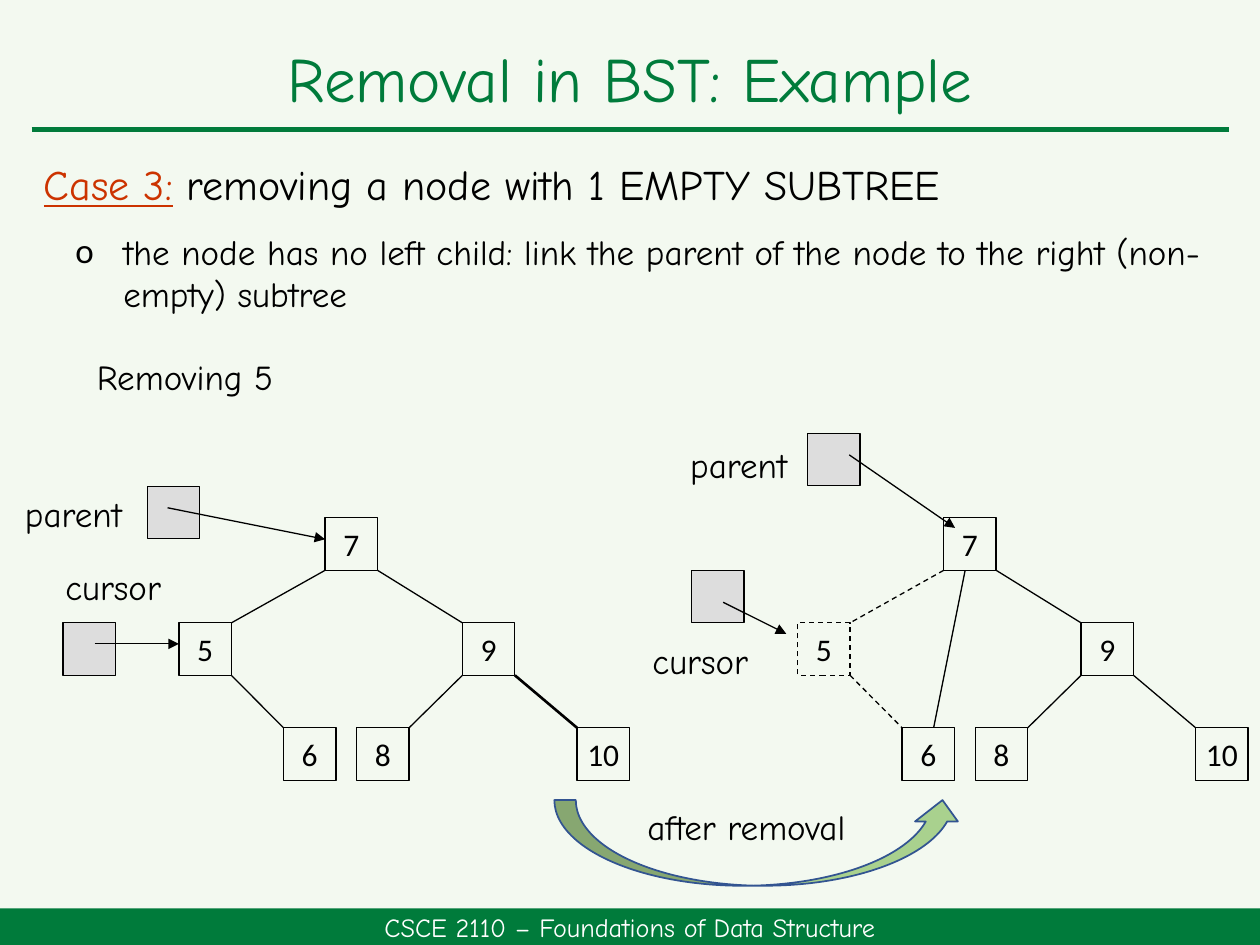
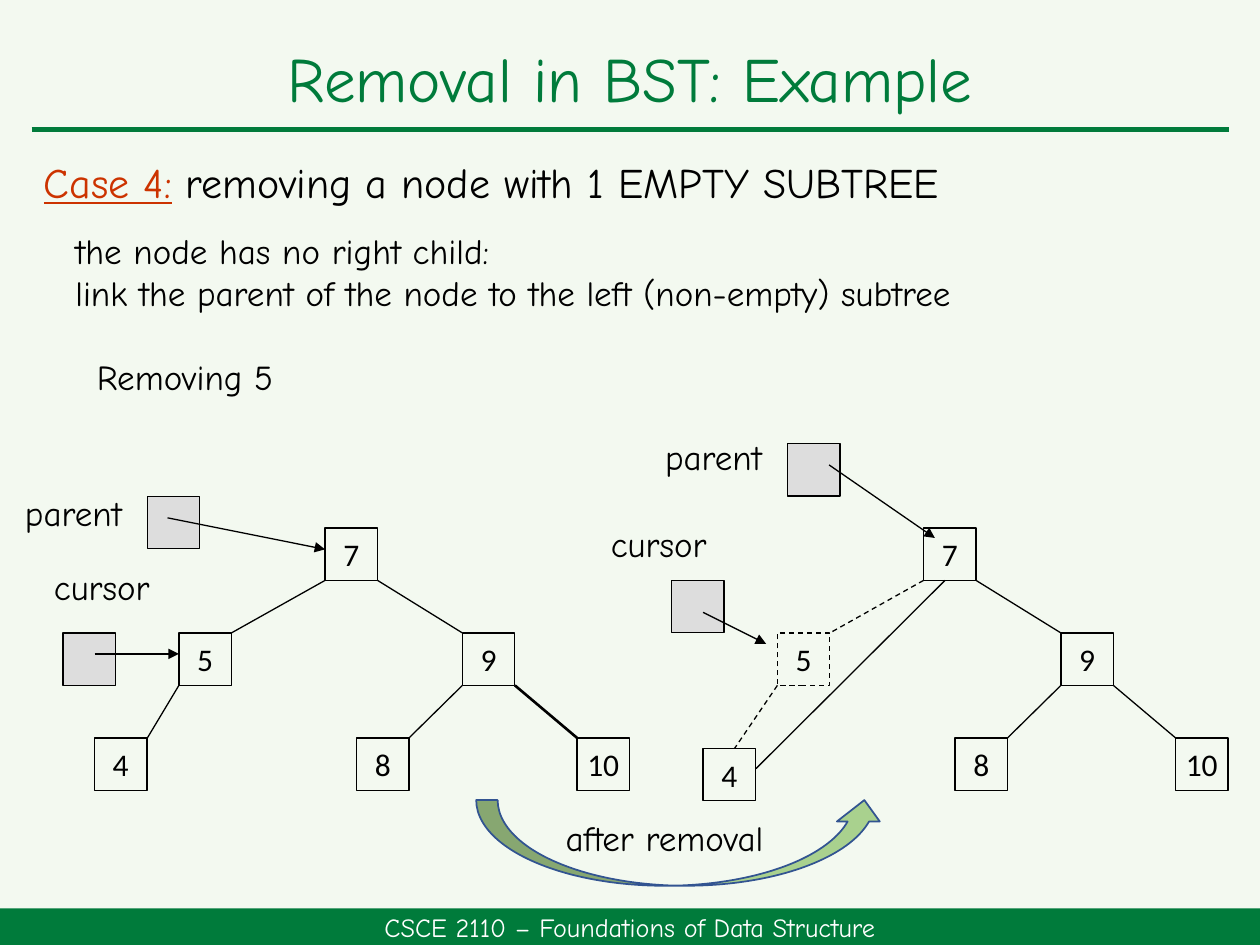
from dataclasses import dataclass
from typing import NamedTuple

from lxml import etree
from pptx import Presentation
from pptx import util as u
from pptx.dml.color import RGBColor
from pptx.enum import dml, shapes, text
from pptx.oxml.ns import qn

# Shared look
GREEN = RGBColor(0x00, 0x7B, 0x3B)
PALE = RGBColor(0xF3, 0xF9, 0xF0)
WHITE = RGBColor(0xFF, 0xFF, 0xFF)
BLACK = RGBColor(0x00, 0x00, 0x00)
RED = RGBColor(0xCC, 0x33, 0x00)
GREY = RGBColor(0xDD, 0xDD, 0xDD)
LEAF_GREEN = RGBColor(0xA9, 0xD1, 0x8E)
BLUE = RGBColor(0x32, 0x54, 0x91)
HAND, PLAIN = "Comic Neue", "Calibri"
CENTER = text.PP_ALIGN.CENTER
RECT = shapes.MSO_SHAPE.RECTANGLE

# Tree grid: square nodes, one node height between levels
BOX = 5 / 12
STEP = 2 * BOX


class Point(NamedTuple):
    x: float
    y: float


class Area(NamedTuple):
    x: float
    y: float
    w: float
    h: float


class Run(NamedTuple):
    words: str
    size: float = 20
    color: RGBColor = BLACK
    font: str = HAND
    underline: bool = False


class Node(NamedTuple):
    label: str
    x: float
    y: float


class Pointer(NamedTuple):
    box: Point
    start: Point
    end: Point


class Label(NamedTuple):
    words: str
    x: float
    y: float


@dataclass
class Tree:
    origin: Point
    leaf: Node
    leaf_join: Point
    pointers: list[Pointer]
    removed: bool = False
    right_weight: float = 0.75


@dataclass
class Case:
    title: str
    title_area: Area
    rule: list[str]
    rule_area: Area
    bulleted: bool
    labels: list[Label]
    trees: list[Tree]
    relink_end: Point
    arrow_x: float
    caption: Area


ROOT = Node("7", 2.58, 0)
TARGET = Node("5", 1.42, STEP)
RIGHT = Node("9", 3.67, STEP)
EIGHT = Node("8", 2.83, 2 * STEP)
TEN = Node("10", 4.58, 2 * STEP)
RELINK_START = Point(2.75, BOX)

# Pointer boxes relative to the tree origin
BEFORE = [
    Pointer(Point(1.17, -0.25), Point(1.33, -0.08), Point(2.58, 0.17)),
    Pointer(Point(0.5, STEP), Point(0.75, 1), Point(1.42, 1)),
]
AFTER = [
    Pointer(Point(1.5, -0.67), Point(1.83, -0.5), Point(2.67, 0.08)),
    Pointer(Point(0.58, BOX), Point(0.83, 0.67), Point(1.33, 0.92)),
]

SIX = Node("6", 2.25, 2 * STEP)
FOUR = Node("4", 0.75, 2 * STEP)
FOUR_AFTER = Node("4", 0.83, 1.75)

CASES = [
    Case(
        "Case 3:", Area(0.25, 1.21, 9.08, 0.5),
        ["the node has no left child: link the parent of the node "
         "to the right (non-empty) subtree"],
        Area(0.5, 1.78, 9.25, 0.77), True,
        [Label("parent", 0.1, 3.86), Label("cursor", 0.42, 4.44),
         Label("parent", 5.38, 3.47), Label("cursor", 5.08, 5.03)],
        [Tree(Point(0, 4.11), SIX, Point(2.25, 2 * STEP), BEFORE, right_weight=1.5),
         Tree(Point(4.91, 4.11), SIX, Point(2.25, 2 * STEP), AFTER, removed=True)],
        Point(2.5, 2 * STEP), 4.4, Area(5.04, 6.34, 2.16, 0.44),
    ),
    Case(
        "Case 4:", Area(0.25, 1.19, 8.11, 0.5),
        ["the node has no right child:",
         "link the parent of the node to the left (non-empty) subtree"],
        Area(0.5, 1.77, 7.98, 0.77), False,
        [Label("parent", 0.1, 3.85), Label("cursor", 0.33, 4.44),
         Label("parent", 5.18, 3.41), Label("cursor", 4.75, 4.1)],
        [Tree(Point(0, 4.19), FOUR, Point(1.17, 2 * STEP), BEFORE, right_weight=1.5),
         Tree(Point(4.75, 4.19), FOUR_AFTER, Point(1.08, 1.75), AFTER, removed=True)],
        Point(1.25, 1.91), 3.78, Area(4.39, 6.43, 2.04, 0.44),
    ),
]


def inches(*values: float) -> list[u.Length]:
    return [u.Inches(v) for v in values]


def set_all(target, formats: dict) -> None:
    for name, value in formats.items():
        setattr(target, name, value)


def write(tf, paragraphs: list[list[Run]], align=None) -> None:
    for i, runs in enumerate(paragraphs):
        p = tf.add_paragraph() if i else tf.paragraphs[0]
        p.alignment = align
        for run in runs:
            r = p.add_run()
            r.text = run.words
            set_all(r.font, {"name": run.font, "size": u.Pt(run.size),
                             "underline": run.underline})
            r.font.color.rgb = run.color


def add_text(s, area: Area, paragraphs: list[list[Run]], align=None,
             anchor=text.MSO_ANCHOR.TOP):
    tf = s.shapes.add_textbox(*inches(*area)).text_frame
    set_all(tf, {"word_wrap": True, "vertical_anchor": anchor})
    write(tf, paragraphs, align)
    return tf


def add_shape(s, kind, area: Area, fill=None, line=None, weight=0.75, dashed=False):
    sp = s.shapes.add_shape(kind, *inches(*area))
    sp.shadow.inherit = False
    if fill is None:
        sp.fill.background()
    else:
        sp.fill.solid()
        sp.fill.fore_color.rgb = fill
    if line is None:
        sp.line.fill.background()
    else:
        sp.line.color.rgb = line
        sp.line.width = u.Pt(weight)
        if dashed:
            sp.line.dash_style = dml.MSO_LINE.DASH
    return sp


def add_line(s, start: Point, end: Point, color=BLACK, weight=0.75,
             dashed=False, arrow=False) -> None:
    cxn = s.shapes.add_connector(shapes.MSO_CONNECTOR.STRAIGHT, *inches(*start, *end))
    cxn.line.color.rgb = color
    cxn.line.width = u.Pt(weight)
    if dashed:
        cxn.line.dash_style = dml.MSO_LINE.DASH
    if arrow:
        etree.SubElement(cxn.line._get_or_add_ln(), qn("a:tailEnd"), type="triangle")
    etree.SubElement(cxn._element.spPr, qn("a:effectLst"))


def add_bullet(p, char: str, indent: float) -> None:
    pPr = p._p.get_or_add_pPr()
    pPr.set("marL", str(u.Inches(indent)))
    pPr.set("indent", str(-u.Inches(indent)))
    etree.SubElement(pPr, qn("a:buFont"), typeface=PLAIN)
    etree.SubElement(pPr, qn("a:buChar"), char=char)


def add_frame(s) -> None:
    """Footer band, title and title rule."""
    band = add_shape(s, RECT, Area(0, 7.21, 10, 0.29), GREEN)
    band.text_frame.vertical_anchor = text.MSO_ANCHOR.MIDDLE
    write(band.text_frame,
          [[Run("CSCE 2110 – Foundations of Data Structure", 15, WHITE)]], CENTER)
    add_text(s, Area(0, 0.19, 10, 0.84), [[Run("Removal in BST: Example", 36, GREEN)]],
             CENTER, text.MSO_ANCHOR.MIDDLE)
    add_line(s, Point(0.25, 1.03), Point(9.75, 1.03), GREEN, 3)


def add_tree(s, tree: Tree) -> None:
    def at(x: float, y: float) -> Point:
        return Point(tree.origin.x + x, tree.origin.y + y)

    def add_edge(parent: Node, end: Point, **style) -> None:
        side = BOX if end.x > parent.x else 0
        add_line(s, at(parent.x + side, parent.y + BOX), at(*end), **style)

    # Edges run from a bottom corner to the facing top corner
    add_edge(ROOT, Point(TARGET.x + BOX, TARGET.y), dashed=tree.removed)
    add_edge(ROOT, Point(RIGHT.x, RIGHT.y))
    add_edge(RIGHT, Point(EIGHT.x + BOX, EIGHT.y))
    add_edge(RIGHT, Point(TEN.x, TEN.y), weight=tree.right_weight)
    add_edge(TARGET, tree.leaf_join, dashed=tree.removed)

    for node in (ROOT, TARGET, RIGHT, EIGHT, TEN, tree.leaf):
        sp = add_shape(s, RECT, Area(*at(node.x, node.y), BOX, BOX), line=BLACK,
                       dashed=tree.removed and node is TARGET)
        set_all(sp.text_frame, {"word_wrap": False,
                                "vertical_anchor": text.MSO_ANCHOR.MIDDLE})
        write(sp.text_frame, [[Run(node.label, 18, font=PLAIN)]], CENTER)

    for pointer in tree.pointers:
        add_shape(s, RECT, Area(*at(*pointer.box), BOX, BOX), GREY, BLACK)
        add_line(s, at(*pointer.start), at(*pointer.end), arrow=True)

    return None


def add_case(s, case: Case) -> None:
    # Statement of the case
    add_text(s, case.title_area, [[
        Run(case.title, 24, RED, underline=True),
        Run(" removing a node with 1 EMPTY SUBTREE", 24)]])
    tf = add_text(s, case.rule_area, [[Run(line)] for line in case.rule])
    if case.bulleted:
        add_bullet(tf.paragraphs[0], "o", 0.38)
    add_text(s, Area(0.67, 2.77, 1.67, 0.44), [[Run("Removing 5")]])

    # Trees before and after, with the new link in the second
    for tree in case.trees:
        add_tree(s, tree)
    origin = case.trees[-1].origin
    add_line(s, *(Point(origin.x + p.x, origin.y + p.y)
                  for p in (RELINK_START, case.relink_end)))
    for label in case.labels:
        add_text(s, Area(label.x, label.y, 1.06, 0.44), [[Run(label.words)]])

    # Transition arrow
    add_shape(s, shapes.MSO_SHAPE.CURVED_UP_ARROW, Area(case.arrow_x, 6.35, 3.25, 0.68),
              LEAF_GREEN, BLUE, 1)
    add_text(s, case.caption, [[Run("after removal")]])


def main() -> None:
    prs = Presentation()
    set_all(prs, {"slide_width": u.Inches(10), "slide_height": u.Inches(7.5)})
    background = prs.slide_master.background.fill
    background.solid()
    background.fore_color.rgb = PALE
    for case in CASES:
        s = prs.slides.add_slide(prs.slide_layouts[6])
        add_frame(s)
        add_case(s, case)
    prs.save("out.pptx")


if __name__ == "__main__":
    main()
